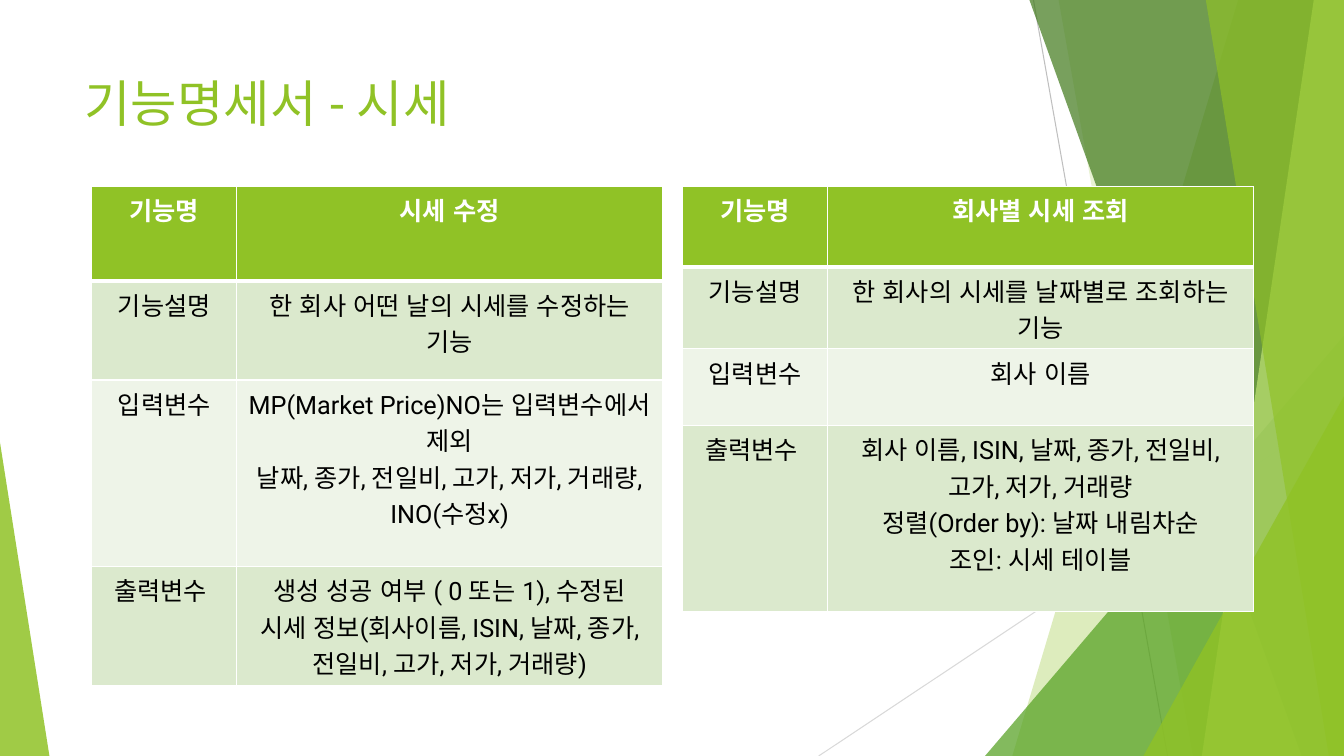
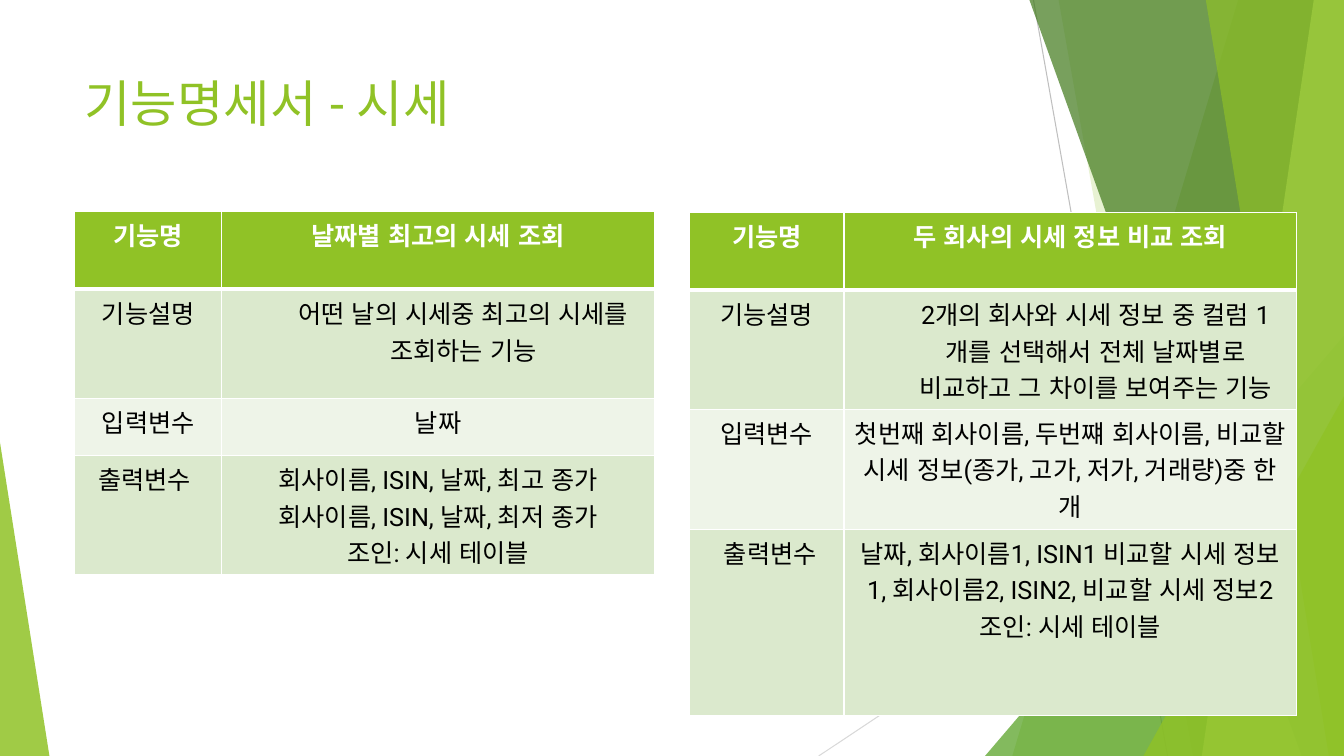
from lxml import etree
from pptx import Presentation, util as u
from pptx.dml.color import RGBColor
from pptx.enum import lang, shapes, text
from pptx.oxml import ns

PX = 9144
WIDTH, HEIGHT = 1333, 750
FONT = "Roboto"
GREEN, WHITE, BLACK = "90C226", "FFFFFF", "000000"
ROW_FILLS = [GREEN, "DBE9CD", "EEF4E8", "DBE9CD"]
TITLE = "기능명세서 - 시세"
TITLE_BOX = (74, 67, 940, 144)
NESTED_INDENT = 50

RAYS = [((1025, 0), (1158, HEIGHT), "BFBFBF"),
        ((WIDTH, 403), (812, HEIGHT), "D9D9D9")]
# (top x, bottom x) of bands reaching the right edge; triangles give box and apex
BANDS = [
    ("band", (1228, 1004), GREEN, 30),
    ("band", (1050, 1183), GREEN, 20),
    ("triangle", (977, 333, 356, 417, 1), "54A021", 72),
    ("band", (1021, 1291), "3F7819", 70),
    ("band", (1303, 1192), "C0E474", 70),
    ("band", (1196, 1318), GREEN, 65),
    ("triangle", (1134, 393, 199, 357, 1), GREEN, 80),
    ("triangle", (0, 439, 49, 311, 0), GREEN, 85),
]

SLIDES = [
    [
        {"at": (91, 185), "columns": (144, 422), "heights": (94, 98, 185, 118),
         "rows": [
             ("기능명", "시세 수정"),
             ("기능설명", "한 회사 어떤 날의 시세를 수정하는 기능"),
             ("입력변수", "MP(Market Price)NO는 입력변수에서 제외\n"
                      "날짜, 종가, 전일비, 고가, 저가, 거래량, INO(수정x)"),
             ("출력변수 ", "생성 성공 여부 ( 0 또는 1), 수정된 시세 정보(회사이름, ISIN, "
                       "날짜, 종가, 전일비, 고가, 저가, 거래량)")]},
        {"at": (677, 185), "columns": (144, 422), "heights": (80, 81, 76, 185),
         "rows": [
             ("기능명", "회사별 시세 조회"),
             ("기능설명", "한 회사의 시세를 날짜별로 조회하는 기능"),
             ("입력변수", "회사 이름"),
             ("출력변수 ", "회사 이름, ISIN, 날짜, 종가, 전일비, 고가, 저가, 거래량\n"
                       "정렬(Order by): 날짜 내림차순\n조인: 시세 테이블")]},
    ],
    [
        {"at": (74, 210), "columns": (146, 429), "heights": (77, 108, 57, 118),
         "nested": True,
         "rows": [
             ("기능명", "날짜별 최고의 시세 조회"),
             ("기능설명", "어떤 날의 시세중 최고의 시세를 조회하는 기능"),
             ("입력변수", "날짜"),
             ("출력변수 ", "회사이름, ISIN, 날짜, 최고 종가\n"
                       "회사이름, ISIN, 날짜, 최저 종가\n조인: 시세 테이블")]},
        {"at": (684, 211), "columns": (153, 449), "heights": (77, 118, 119, 185),
         "nested": True,
         "rows": [
             ("기능명", "두 회사의 시세 정보 비교 조회"),
             ("기능설명", "2개의 회사와 시세 정보 중 컬럼 1개를 선택해서 전체 날짜별로 "
                      "비교하고 그 차이를 보여주는 기능"),
             ("입력변수", "첫번째 회사이름, 두번쨰 회사이름, "
                      "비교할 시세 정보(종가, 고가, 저가, 거래량)중 한 개"),
             (" 출력변수", "날짜, 회사이름1, ISIN1 비교할 시세 정보1, 회사이름2, ISIN2, "
                       "비교할 시세 정보2\n조인: 시세 테이블")]},
    ],
]


def px(*lengths):
    return [length * PX for length in lengths]


def rgb(code):
    return RGBColor.from_string(code)


def style_runs(paragraph, size, color, bold=False):
    for run in paragraph.runs:
        run.font.name = FONT
        run.font.size = u.Pt(size)
        run.font.bold = bold
        run.font.color.rgb = rgb(color)
        run.font.language_id = lang.MSO_LANGUAGE_ID.KOREAN


def add_ray(slide, start, end, color):
    ray = slide.shapes.add_connector(shapes.MSO_CONNECTOR.STRAIGHT, *px(*start, *end))
    ray.line.color.rgb = rgb(color)
    ray.line.width = u.Pt(0.75)
    etree.SubElement(ray._element.spPr, ns.qn("a:effectLst"))


def add_band(slide, kind, geometry, color, opacity):
    if kind == "triangle":
        *box, apex = geometry
        band = slide.shapes.add_shape(shapes.MSO_SHAPE.ISOSCELES_TRIANGLE, *px(*box))
        band.adjustments[0] = apex
    else:
        top, bottom = geometry
        outline = slide.shapes.build_freeform(top, 0, scale=PX)
        outline.add_line_segments([(WIDTH, 0), (WIDTH, HEIGHT), (bottom, HEIGHT)])
        band = outline.convert_to_shape()
    band.shadow.inherit = False
    band.line.fill.background()
    band.fill.solid()
    band.fill.fore_color.rgb = rgb(color)
    tint = band._element.spPr.find(".//" + ns.qn("a:srgbClr"))
    etree.SubElement(tint, ns.qn("a:alpha"), val=str(opacity * 1000))


def add_title(slide):
    title = slide.shapes.add_textbox(*px(*TITLE_BOX)).text_frame
    title.word_wrap = True
    title.text = TITLE
    style_runs(title.paragraphs[0], 36, GREEN)


def set_borders(cell, row):
    widths = {"lnL": 1, "lnR": 1, "lnT": 3 if row == 1 else 1, "lnB": 3 if row == 0 else 1}
    properties = cell._tc.get_or_add_tcPr()
    for side, points in widths.items():
        border = etree.SubElement(properties, ns.qn("a:" + side), w=str(u.Pt(points)))
        fill = etree.SubElement(border, ns.qn("a:solidFill"))
        etree.SubElement(fill, ns.qn("a:srgbClr"), val=WHITE)


def add_function_table(slide, function):
    columns, heights, rows = function["columns"], function["heights"], function["rows"]
    table = slide.shapes.add_table(len(rows), len(columns), *px(
        *function["at"], sum(columns), sum(heights))).table
    table.horz_banding = False
    for column, width in zip(table.columns, columns):
        column.width = width * PX
    for r, (height, entries) in enumerate(zip(heights, rows)):
        table.rows[r].height = height * PX
        for c, entry in enumerate(entries):
            cell = table.cell(r, c)
            set_borders(cell, r)
            cell.fill.solid()
            cell.fill.fore_color.rgb = rgb(ROW_FILLS[r])
            cell.text_frame.text = entry
            for paragraph in cell.text_frame.paragraphs:
                paragraph.alignment = text.PP_ALIGN.CENTER
                style_runs(paragraph, 18, BLACK if r else WHITE, bold=r == 0)
                if function.get("nested") and (r, c) == (1, 1):
                    paragraph.level = 1
                    paragraph._p.get_or_add_pPr().set("marL", str(NESTED_INDENT * PX))


def main():
    """Build the function specification slides."""
    deck = Presentation()
    deck.slide_width, deck.slide_height = px(WIDTH, HEIGHT)
    for functions in SLIDES:
        slide = deck.slides.add_slide(deck.slide_layouts[6])
        for ray in RAYS:
            add_ray(slide, *ray)
        for band in BANDS:
            add_band(slide, *band)
        add_title(slide)
        for function in functions:
            add_function_table(slide, function)
    deck.save("out.pptx")


if __name__ == "__main__":
    main()
